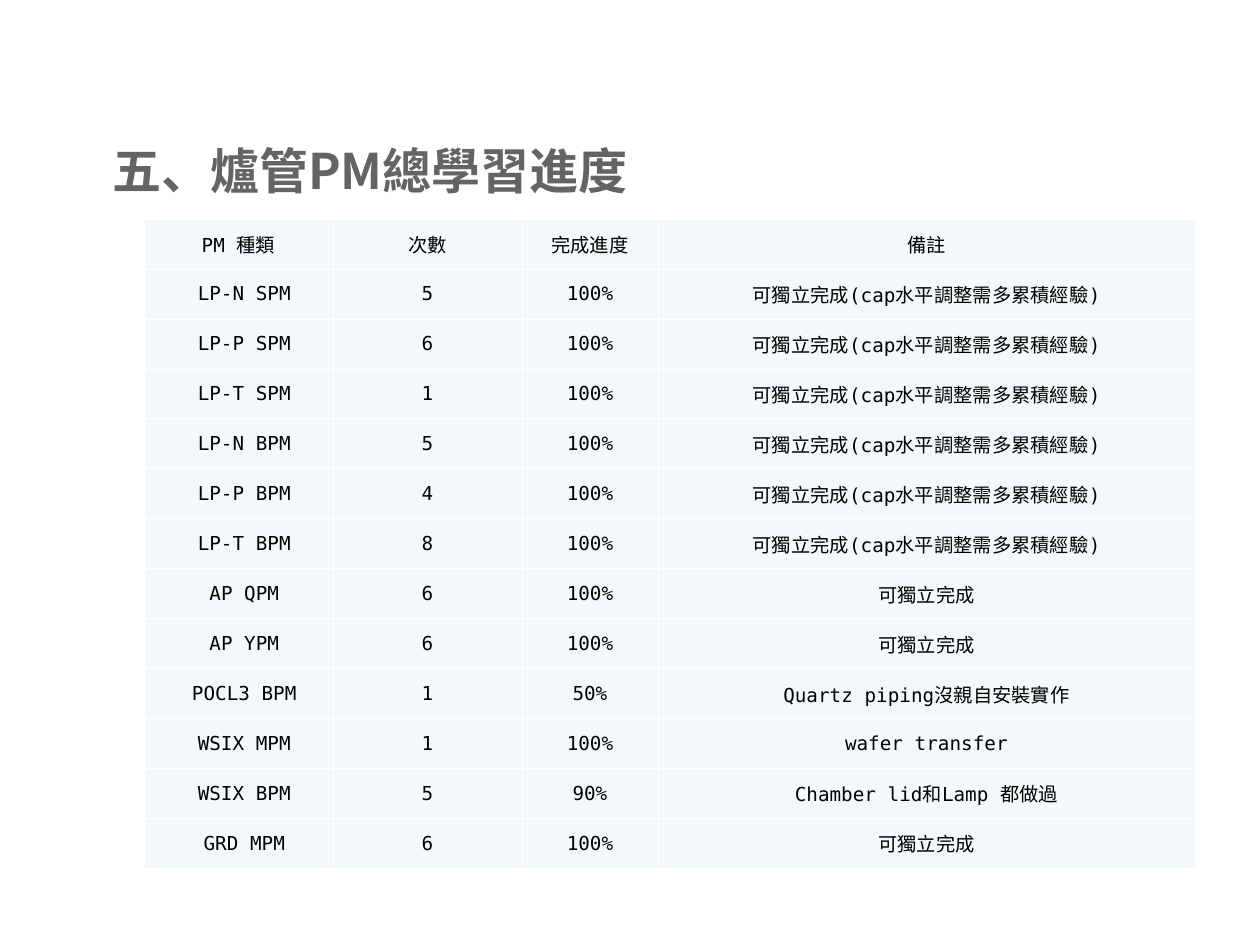
from lxml import etree
from pptx import Presentation
from pptx.dml.color import RGBColor
from pptx.enum.text import MSO_ANCHOR, PP_ALIGN
from pptx.oxml.ns import qn
from pptx.util import Pt

MIDDLE = MSO_ANCHOR.MIDDLE
LEFT, CENTER = PP_ALIGN.LEFT, PP_ALIGN.CENTER

GREY = RGBColor(0x64, 0x64, 0x64)
BLACK = RGBColor(0, 0, 0)
WHITE = RGBColor(0xFF, 0xFF, 0xFF)
PALE = RGBColor(0xF3, 0xF9, 0xFA)
SANS = "Noto Sans CJK SC"
MONO = "DejaVu Sans Mono"

DONE = "可獨立完成"
LEVEL = DONE + "(cap水平調整需多累積經驗)"
COLS = [189, 189, 136, 537]
ROW = 50
ROWS = [
    ("PM 種類", "次數", "完成進度", "備註"),
    (" LP-N SPM", "5", "100%", LEVEL),
    (" LP-P SPM", "6", "100%", LEVEL),
    (" LP-T SPM", "1", "100%", LEVEL),
    (" LP-N BPM", "5", "100%", LEVEL),
    (" LP-P BPM", "4", "100%", LEVEL),
    (" LP-T BPM", "8", "100%", LEVEL),
    (" AP QPM", "6", "100%", DONE),
    (" AP YPM", "6", "100%", DONE),
    (" POCL3 BPM", "1", "50%", "Quartz piping沒親自安裝實作"),
    (" WSIX MPM", "1", "100%", "wafer transfer"),
    (" WSIX BPM", "5", "90%", "Chamber lid和Lamp 都做過"),
    (" GRD MPM", "6", "100%", DONE),
]


def px(n):
    return round(n * 914400 / 126)


def style(para, face, size, color, align, bold=False):
    para.alignment = align
    for run in para.runs:
        font = run.font
        font.size, font.bold, font.name = Pt(size), bold, face
        font.color.rgb = color
        # East Asian glyphs
        etree.SubElement(run._r.get_or_add_rPr(), qn("a:ea"), typeface=SANS)


def edge(cell):
    """Thin white line on all four sides."""
    props = cell._tc.get_or_add_tcPr()
    for i, side in enumerate(("lnL", "lnR", "lnT", "lnB")):
        line = etree.Element(qn("a:" + side), w=str(Pt(0.45)))
        fill = etree.SubElement(line, qn("a:solidFill"))
        etree.SubElement(fill, qn("a:srgbClr"), val=str(WHITE))
        props.insert(i, line)


def add_title(slide, x, y, w, h):
    title = slide.shapes.title
    title.left, title.top, title.width, title.height = map(px, (x, y, w, h))
    frame = title.text_frame
    frame.text = "五、爐管PM總學習進度"
    frame.vertical_anchor = MIDDLE
    style(frame.paragraphs[0], SANS, 28, GREY, LEFT, True)


def add_grid(slide, x, y):
    frame = slide.shapes.add_table(len(ROWS), len(COLS), px(x), px(y),
                                   px(sum(COLS)), px(ROW * len(ROWS)))
    table = frame.table
    for col, width in zip(table.columns, COLS):
        col.width = px(width)
    for r, row in enumerate(ROWS):
        table.rows[r].height = px(ROW)
        for c, text in enumerate(row):
            cell = table.cell(r, c)
            cell.text_frame.text = text
            cell.vertical_anchor = MIDDLE
            cell.margin_left = cell.margin_right = px(1)
            cell.fill.solid()
            cell.fill.fore_color.rgb = PALE
            edge(cell)
            style(cell.text_frame.paragraphs[0], MONO, 11, BLACK, CENTER)


def main():
    deck = Presentation()
    deck.slide_width, deck.slide_height = px(1260), px(945)
    slide = deck.slides.add_slide(deck.slide_layouts[5])
    add_title(slide, 100, 125, 1076, 89)
    add_grid(slide, 144, 219)
    deck.save("out.pptx")


if __name__ == "__main__":
    main()
